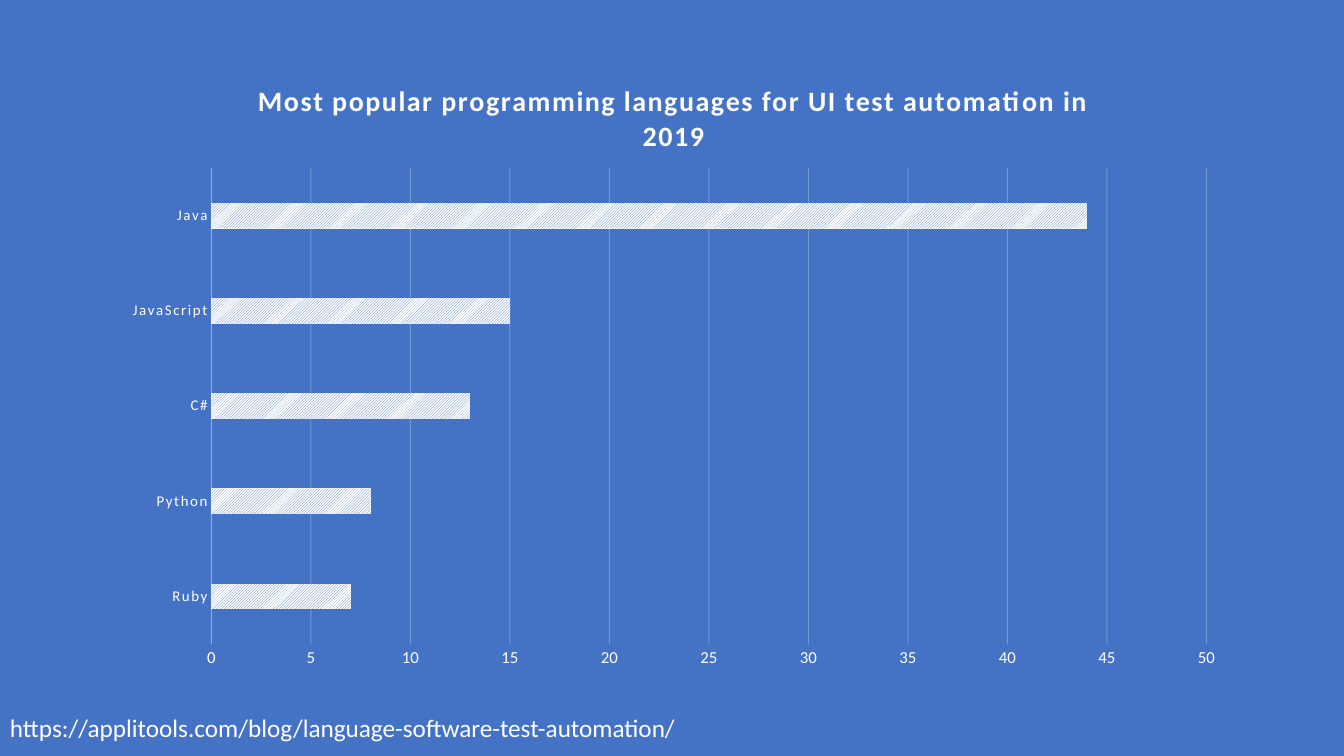
from lxml import etree
from pptx import Presentation
from pptx import util as u
from pptx.chart.data import CategoryChartData
from pptx.dml.color import RGBColor
from pptx.enum import chart as ch, dml, text
from pptx.oxml import parse_xml
from pptx.oxml.ns import nsdecls, qn

BLUE = RGBColor(0x44, 0x72, 0xC4)
BACKGROUND = RGBColor(0x44, 0x72, 0xC5)
PALE_BLUE = RGBColor(0x8F, 0xAA, 0xDC)
WHITE = RGBColor(0xFF, 0xFF, 0xFF)
FONT = "Calibri"

TITLE = "Most popular programming languages for UI test automation in 2019"
SOURCE = "https://applitools.com/blog/language-software-test-automation/"
SHARES = {"Ruby": 7, "Python": 8, "C#": 13, "JavaScript": 15, "Java": 44}


def style_font(font, size, bold=False):
    font.name = FONT
    font.size = u.Pt(size)
    font.bold = bold
    font.color.rgb = WHITE


def place(parent, inner=False, **fractions):
    """Fix a chart part at fractions of the chart's size."""
    layout = parent.find(qn("c:layout"))
    if layout is None:
        layout = etree.Element(qn("c:layout"))
        parent.insert(0, layout)
    manual = etree.SubElement(layout, qn("c:manualLayout"))
    settings = {"layoutTarget": "inner"} if inner else {}
    settings.update(xMode="edge", yMode="edge", **fractions)
    for name, value in settings.items():
        etree.SubElement(manual, qn(f"c:{name}")).set("val", str(value))


def add_title(chart):
    frame = chart.chart_title.text_frame
    span = frame.paragraphs[0].add_run()
    span.text = TITLE
    style_font(span.font, 20, bold=True)
    span.font._element.set("spc", "100")
    place(chart.chart_title._element, x=0.13, y=0.04)


def style_axes(chart):
    languages, values = chart.category_axis, chart.value_axis
    for axis, size in ((languages, 10.6), (values, 12)):
        axis.major_tick_mark = axis.minor_tick_mark = ch.XL_TICK_MARK.NONE
        style_font(axis.tick_labels.font, size)
    languages.format.line.color.rgb = PALE_BLUE
    languages.format.line.width = u.Pt(0.25)
    for props in languages._element.iter(qn("a:defRPr")):
        props.set("spc", "120")

    values.minimum_scale, values.maximum_scale, values.major_unit = 0, 50, 5
    values.format.line.fill.background()
    values.has_major_gridlines = True
    grid = values.major_gridlines.format.line
    grid.color.rgb = WHITE
    grid.width = u.Pt(0.75)
    for color in values.major_gridlines._xAx.iterfind(
            f"{qn('c:majorGridlines')}//{qn('a:srgbClr')}"):
        etree.SubElement(color, qn("a:alpha")).set("val", "25000")


def style_bars(plot):
    plot.gap_width, plot.overlap = 269, -20
    plot.vary_by_categories = False
    fill = plot.series[0].format.fill
    fill.patterned()
    fill.pattern = dml.MSO_PATTERN.LIGHT_UPWARD_DIAGONAL
    fill.fore_color.rgb = BLUE
    fill.back_color.rgb = WHITE


def fill_chart_area(chart):
    area = parse_xml(
        f'<c:spPr {nsdecls("c", "a")}>'
        f'<a:solidFill><a:srgbClr val="{BLUE}"/></a:solidFill>'
        f'<a:ln w="9525"><a:solidFill><a:srgbClr val="{BLUE}"/></a:solidFill></a:ln>'
        '</c:spPr>')
    chart._chartSpace.find(qn("c:chart")).addnext(area)


def add_language_chart(page):
    data = CategoryChartData()
    data.categories = list(SHARES)
    data.add_series("Series 1", list(SHARES.values()))
    chart = page.shapes.add_chart(
        ch.XL_CHART_TYPE.BAR_CLUSTERED, u.Inches(1.04), u.Inches(0.5),
        u.Inches(11.25), u.Inches(6.26), data).chart
    chart.has_legend = False
    chart.font.name = FONT
    chart.font.size = u.Pt(10)
    add_title(chart)
    style_axes(chart)
    style_bars(chart.plots[0])
    fill_chart_area(chart)
    plot_area = chart._chartSpace.find(f".//{qn('c:plotArea')}")
    place(plot_area, inner=True, x=0.0935, y=0.186, w=0.878, h=0.756)


def add_source(page):
    box = page.shapes.add_textbox(
        u.Inches(0), u.Inches(7.02), u.Inches(6.88), u.Inches(0.4))
    box.text_frame.word_wrap = False
    box.text_frame.auto_size = text.MSO_AUTO_SIZE.SHAPE_TO_FIT_TEXT
    span = box.text_frame.paragraphs[0].add_run()
    span.text = SOURCE
    style_font(span.font, 18)


def main():
    deck = Presentation()
    deck.slide_width, deck.slide_height = u.Inches(13.33), u.Inches(7.5)
    page = deck.slides.add_slide(deck.slide_layouts[6])
    page.background.fill.solid()
    page.background.fill.fore_color.rgb = BACKGROUND
    # Source address below, chart above
    add_source(page)
    add_language_chart(page)
    deck.save("out.pptx")


if __name__ == "__main__":
    main()
